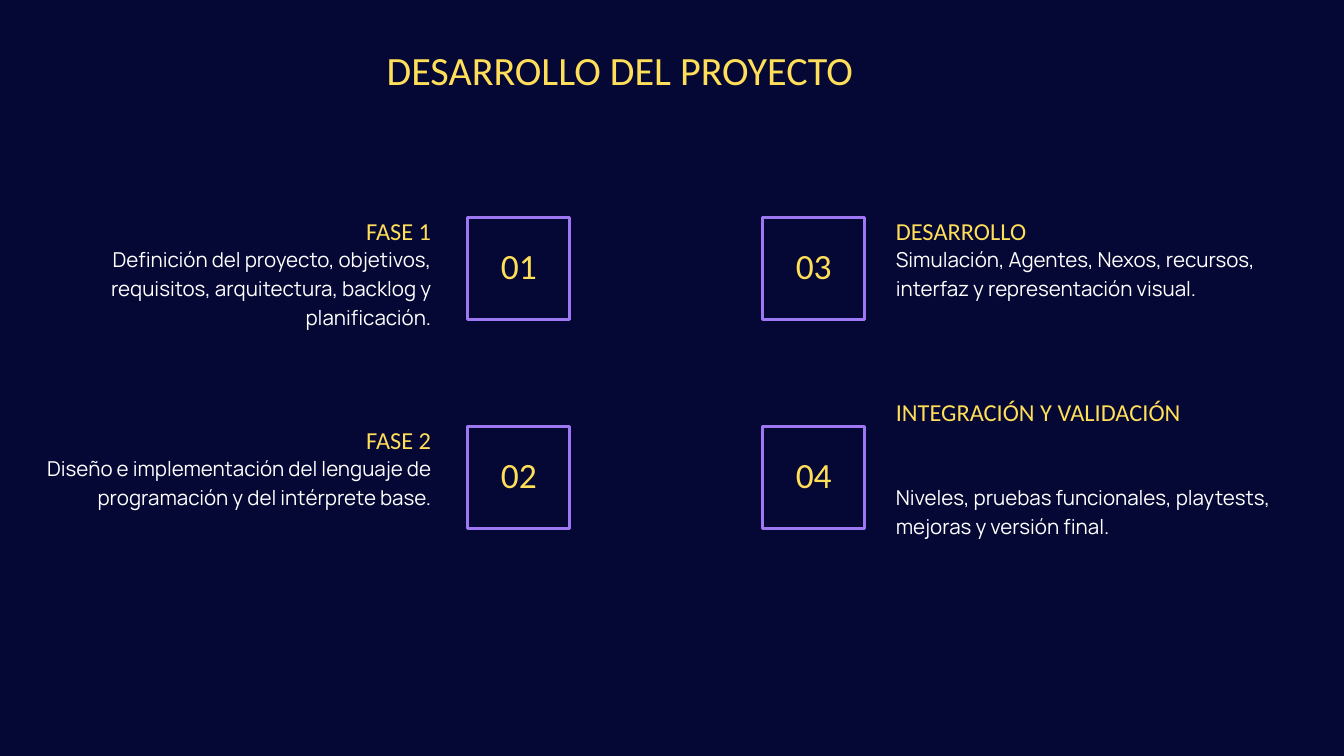
from dataclasses import dataclass

from pptx import Presentation
from pptx.dml.color import RGBColor
from pptx.enum.shapes import MSO_SHAPE
from pptx.enum.text import MSO_ANCHOR, MSO_AUTO_SIZE, PP_ALIGN
from pptx.util import Cm, Pt


@dataclass(frozen=True)
class Theme:
    """Colours, fonts and type sizes of the slide."""
    night: RGBColor = RGBColor(0x05, 0x07, 0x34)
    yellow: RGBColor = RGBColor(0xFF, 0xDE, 0x59)
    violet: RGBColor = RGBColor(0x9E, 0x77, 0xF3)
    white: RGBColor = RGBColor(0xFF, 0xFF, 0xFF)
    heading_font: str = "Calibri"
    body_font: str = "Manrope"
    title_size: float = 43
    number_size: float = 38
    heading_size: float = 26.1
    body_size: float = 22
    leading: float = 1.4


@dataclass(frozen=True)
class Box:
    """A region of the slide in centimetres."""
    left: float
    top: float
    width: float
    height: float

    def lengths(self):
        """Return the four lengths for placing a shape."""
        return Cm(self.left), Cm(self.top), Cm(self.width), Cm(self.height)


@dataclass(frozen=True)
class Phase:
    """Wording of one phase and its text offsets from the square's top."""
    number: str
    heading: str
    description: str
    heading_offset: float = -0.23
    description_offset: float = 0.97


THEME = Theme()
SQUARE = 3.86
ROW_TOPS = (8.23, 16.13)
LEFT_PHASES = (
    Phase("01", "FASE 1",
          "Definición del proyecto, objetivos, requisitos, arquitectura, backlog y planificación."),
    Phase("02", "FASE 2",
          "Diseño e implementación del lenguaje de programación y del intérprete base."),
)
RIGHT_PHASES = (
    Phase("03", "DESARROLLO",
          "Simulación, Agentes, Nexos, recursos, interfaz y representación visual."),
    Phase("04", "INTEGRACIÓN Y VALIDACIÓN",
          "Niveles, pruebas funcionales, playtests, mejoras y versión final.",
          heading_offset=-1.3, description_offset=2.06),
)


def write(shape, text, *, size, color=THEME.yellow, font=THEME.heading_font,
          align=PP_ALIGN.LEFT, anchor=MSO_ANCHOR.TOP, insets=(0, 0, 0, 0)):
    """Write one formatted paragraph into a shape."""
    frame = shape.text_frame
    frame.word_wrap = True
    frame.auto_size = MSO_AUTO_SIZE.NONE
    frame.vertical_anchor = anchor
    (frame.margin_left, frame.margin_top,
     frame.margin_right, frame.margin_bottom) = map(Cm, insets)
    frame.text = text
    paragraph = frame.paragraphs[0]
    paragraph.alignment = align
    paragraph.line_spacing = Pt(round(size * THEME.leading, 1))
    run_font = paragraph.runs[0].font
    run_font.name, run_font.size = font, Pt(size)
    run_font.color.rgb = color


def add_title(slide, box, text):
    """Place the slide title in its placeholder."""
    title = slide.shapes.title
    title.left, title.top, title.width, title.height = box.lengths()
    write(title, text, size=THEME.title_size, align=PP_ALIGN.CENTER)


def add_number(slide, box, number):
    """Draw an outlined square with its number."""
    square = slide.shapes.add_shape(MSO_SHAPE.RECTANGLE, *box.lengths())
    square.shadow.inherit = False
    square.fill.background()
    square.line.color.rgb = THEME.violet
    square.line.width = Pt(3)
    write(square, number, size=THEME.number_size, align=PP_ALIGN.CENTER,
          anchor=MSO_ANCHOR.MIDDLE, insets=(0.15, 0.15, 0.15, 0.69))


def add_phase(slide, box, phase, *, gap, square_last):
    """Place a numbered square with its heading and description beside it."""
    text_width = box.width - SQUARE - gap
    square_left = box.left + (text_width + gap if square_last else 0)
    text_left = box.left + (0 if square_last else SQUARE + gap)
    align = PP_ALIGN.RIGHT if square_last else PP_ALIGN.LEFT
    add_number(slide, Box(square_left, box.top, SQUARE, SQUARE), phase.number)

    heading_box = Box(text_left, box.top + phase.heading_offset, text_width, 1.3)
    heading = slide.shapes.add_textbox(*heading_box.lengths())
    write(heading, phase.heading, size=THEME.heading_size, align=align)

    description_box = Box(text_left, box.top + phase.description_offset, text_width, 3.25)
    description = slide.shapes.add_textbox(*description_box.lengths())
    write(description, phase.description, size=THEME.body_size,
          color=THEME.white, font=THEME.body_font, align=align)


def add_column(slide, left, width, phases, **layout):
    """Stack the phases of one column on the shared rows."""
    for top, phase in zip(ROW_TOPS, phases):
        add_phase(slide, Box(left, top, width, SQUARE), phase, **layout)


def main():
    """Build the slide and save it."""
    deck = Presentation()
    deck.slide_width, deck.slide_height = Cm(50.8), Cm(28.58)
    slide = deck.slides.add_slide(deck.slide_layouts[5])
    slide.background.fill.solid()
    slide.background.fill.fore_color.rgb = THEME.night
    add_title(slide, Box(2.84, 1.4, 41.17, 4.27), "DESARROLLO DEL PROYECTO")
    add_column(slide, 1.63, 19.91, LEFT_PHASES, gap=1.38, square_last=True)
    add_column(slide, 28.83, 20.34, RIGHT_PHASES, gap=1.17, square_last=False)
    deck.save("out.pptx")


if __name__ == "__main__":
    main()
